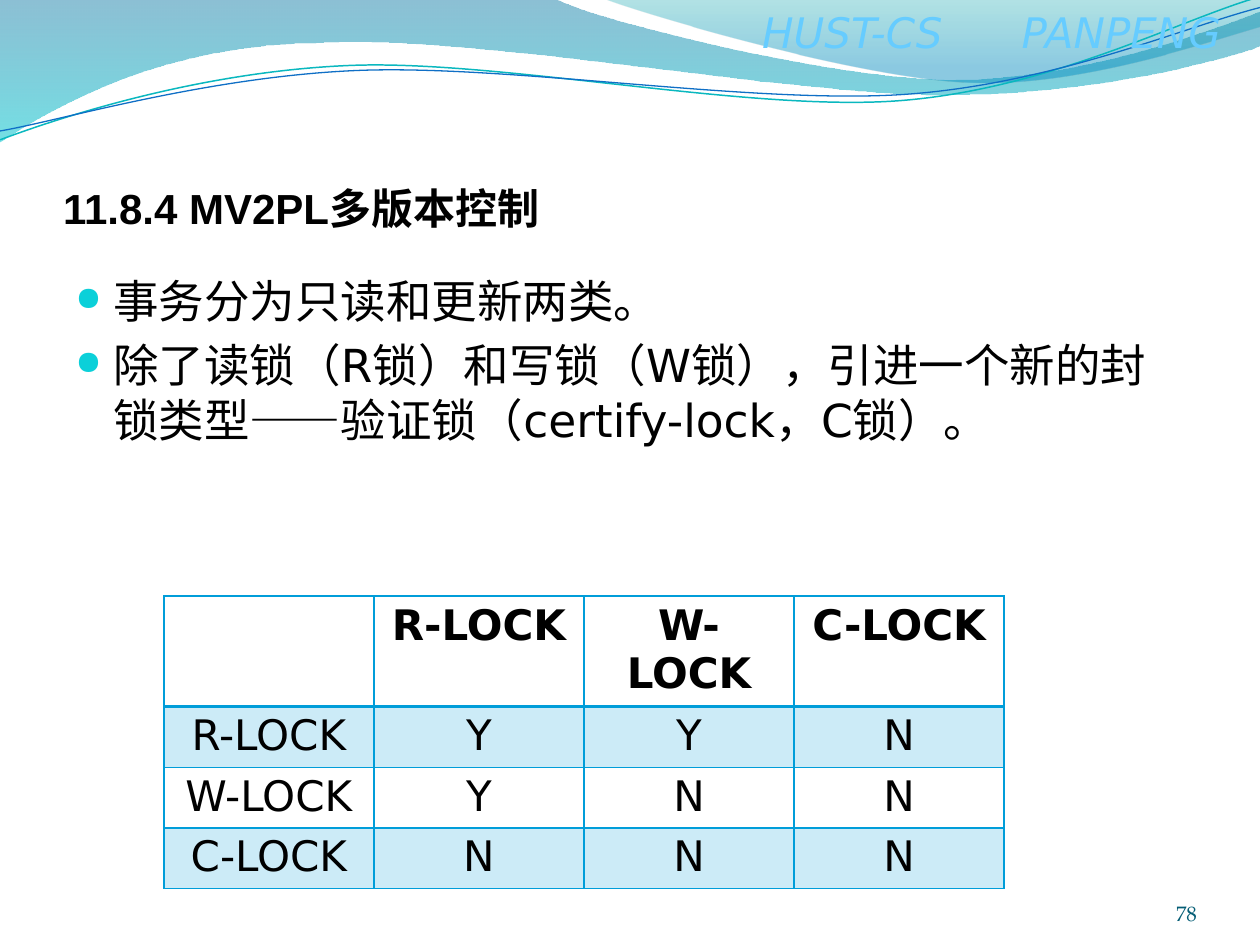
import math
from dataclasses import dataclass

import pptx
import pptx.dml.color
import pptx.enum.text
import pptx.oxml
import pptx.util
from pptx.util import Inches

NS = 'xmlns:a="http://schemas.openxmlformats.org/drawingml/2006/main"'
ALIGN = pptx.enum.text.PP_ALIGN
ANCHOR = pptx.enum.text.MSO_ANCHOR
SANS = "DejaVu Sans"
ACCENT = "009DD9"
WAVE_TILT = -2.7


@dataclass
class Stop:
    position: float
    color: str
    opacity: int


@dataclass
class Ribbon:
    start: tuple
    segments: list
    stops: list


@dataclass
class Wave:
    center: tuple
    start: tuple
    segments: list
    color: str
    width: float


RIBBONS = [
    Ribbon((0, -0.01), [
        (4.4, -0.01),
        (4.76, 0.17, 6.64, 0.63, 7.58, 0.63),
        (8.53, 0.63, 9.58, 0.26, 10, 0.09),
        (10.01, 0.36),
        (9.83, 0.44, 8.7, 0.76, 7.46, 0.75),
        (6.22, 0.75, 3.82, 0.28, 2.57, 0.34),
        (1.29, 0.35, 0.46, 0.83, -0.01, 1.13),
    ], [Stop(0, "0074A1", 45), Stop(1, "00C6CF", 55)]),
    Ribbon((4.79, -0.01), [
        (5.09, 0.11, 6.82, 0.62, 7.69, 0.65),
        (8.56, 0.69, 9.61, 0.32, 10, 0.21),
        (10, 0),
    ], [Stop(0, "00A1A9", 30), Stop(0.8, "008BBF", 45)]),
]
WAVES = [
    Wave((4.99, 0.58), (0, 1.11), [
        (0.48, 0.93, 1.58, 0.57, 2.77, 0.52),
        (3.95, 0.47, 5.93, 0.89, 7.13, 0.8),
        (8.33, 0.71, 9.38, 0.15, 9.98, -0.02),
    ], "0AB8BF", 0.85),
    Wave((5, 0.59), (0, 1.04), [
        (0.47, 0.96, 1.64, 0.61, 2.83, 0.56),
        (4.03, 0.51, 5.97, 0.83, 7.17, 0.75),
        (8.36, 0.67, 9.41, 0.21, 10, 0.06),
    ], "0F6FC6", 0.75),
]
BULLETS = [
    "事务分为只读和更新两类。",
    "除了读锁（R锁）和写锁（W锁），引进一个新的封锁类型——验证锁（certify-lock，C锁）。",
]
LOCKS = [
    ["", "R-LOCK", "W-LOCK", "C-LOCK"],
    ["R-LOCK", "Y", "Y", "N"],
    ["W-LOCK", "Y", "N", "N"],
    ["C-LOCK", "N", "N", "N"],
]


def rgb(value: str):
    return pptx.dml.color.RGBColor.from_string(value)


def xml(markup: str):
    return pptx.oxml.parse_xml(markup.replace(" ", f" {NS} ", 1))


def set_opacity(el, percent: int) -> None:
    el.append(xml(f'<a:alpha val="{percent * 1000}"/>'))


def format_runs(p, font: str, size: float, color: str, bold=False, italic=False) -> None:
    for r in p.runs:
        r.font.name = font
        r.font.size = pptx.util.Pt(size)
        r.font.color.rgb = rgb(color)
        r.font.bold = bold
        r.font.italic = italic


def to_points(seg: tuple) -> list:
    return [(Inches(x), Inches(y)) for x, y in zip(seg[::2], seg[1::2])]


def turn(seg: tuple, center: tuple, degrees: float) -> tuple:
    cx, cy = center
    cos, sin = math.cos(math.radians(degrees)), math.sin(math.radians(degrees))
    turned = []
    for x, y in zip(seg[::2], seg[1::2]):
        dx, dy = x - cx, y - cy
        turned += [cx + dx * cos - dy * sin, cy + dx * sin + dy * cos]
    return tuple(turned)


def add_outline(s, start: tuple, segments: list, close: bool):
    origin = to_points(start)[0]
    curves = [to_points(seg) for seg in segments]
    ends = [points[-1] for points in curves]
    builder = s.shapes.build_freeform(*origin, scale=1.0)
    builder.add_line_segments(ends, close=close)
    sp = builder.convert_to_shape()
    left = min(x for x, y in [origin, *ends])
    top = min(y for x, y in [origin, *ends])
    for line, points in zip(sp._element.xpath(".//a:path/a:lnTo"), curves):
        if len(points) == 3:
            pts = "".join(f'<a:pt x="{x - left}" y="{y - top}"/>' for x, y in points)
            line.getparent().replace(line, xml(f"<a:cubicBezTo >{pts}</a:cubicBezTo>"))
    sp.shadow.inherit = False
    return sp


def add_ribbon(s, ribbon: Ribbon) -> None:
    sp = add_outline(s, ribbon.start, ribbon.segments, True)
    sp.line.fill.background()
    sp.fill.gradient()
    sp.fill.gradient_angle = 270
    for gs, stop in zip(sp.fill.gradient_stops, ribbon.stops):
        gs.color.rgb = rgb(stop.color)
        gs.position = stop.position
    for el, stop in zip(sp._element.xpath(".//a:gs/a:srgbClr"), ribbon.stops):
        set_opacity(el, stop.opacity)


def add_wave(s, wave: Wave) -> None:
    start, *segments = [turn(seg, wave.center, -WAVE_TILT)
                        for seg in (wave.start, *wave.segments)]
    sp = add_outline(s, start, segments, False)
    sp.rotation = WAVE_TILT
    sp.fill.background()
    sp.line.color.rgb = rgb(wave.color)
    sp.line.width = pptx.util.Pt(wave.width)


def add_text(s, left: float, top: float, width: float, height: float):
    tf = s.shapes.add_textbox(*map(Inches, (left, top, width, height))).text_frame
    tf.word_wrap = True
    return tf


def set_margins(tf, top: float) -> None:
    tf.margin_left = tf.margin_right = tf.margin_bottom = 0
    tf.margin_top = Inches(top)


def add_header(s) -> None:
    p = add_text(s, 5.95, 0, 4.05, 0.5).paragraphs[0]
    p.text = "HUST-CS\tPANPENG"
    p._p.get_or_add_pPr().append(
        xml(f'<a:tabLst ><a:tab pos="{Inches(2.06)}" algn="l"/></a:tabLst>'))
    format_runs(p, SANS, 24, "66CCFF", italic=True)


def add_title(s) -> None:
    sp = s.shapes.title
    sp.left, sp.top, sp.width, sp.height = map(Inches, (0.5, 0.77, 9, 1.08))
    tf = sp.text_frame
    tf.text = "11.8.4 MV2PL多版本控制"
    tf.vertical_anchor = ANCHOR.BOTTOM
    set_margins(tf, 0.05)
    tf.paragraphs[0].alignment = ALIGN.LEFT
    format_runs(tf.paragraphs[0], "Arial", 24, "000000", bold=True)


def add_bullets(s) -> None:
    tf = add_text(s, 0.5, 2.12, 9, 1.08)
    for i, text in enumerate(BULLETS):
        p = tf.add_paragraph() if i else tf.paragraphs[0]
        p.text = text
        pPr = p._p.get_or_add_pPr()
        pPr.set("marL", str(Inches(0.3)))
        pPr.set("indent", str(Inches(-0.3)))
        for markup in ('<a:buClr ><a:srgbClr val="0BD0D9"/></a:buClr>',
                       '<a:buSzPct val="73000"/>', '<a:buChar char="●"/>'):
            pPr.append(xml(markup))
        if i:
            p.space_before = pptx.util.Pt(5.2)
        format_runs(p, SANS, 26, "000000")


def set_borders(cell, row: int) -> None:
    tcPr = cell._tc.get_or_add_tcPr()
    for i, side in enumerate(("lnL", "lnR", "lnT", "lnB")):
        width = pptx.util.Pt(2 if (row, side) in ((0, "lnB"), (1, "lnT")) else 1)
        tcPr.insert(i, xml(f'<a:{side} w="{width}"><a:solidFill>'
                           f'<a:srgbClr val="{ACCENT}"/></a:solidFill></a:{side}>'))


def add_lock_table(s) -> None:
    table = s.shapes.add_table(4, 4, *map(Inches, (1.3, 4.73, 6.67, 1.62))).table
    table.first_row = table.horz_banding = False
    for i, row in enumerate(LOCKS):
        for j, text in enumerate(row):
            cell = table.cell(i, j)
            cell.margin_top = cell.margin_bottom = Inches(0.04)
            p = cell.text_frame.paragraphs[0]
            p.text = text
            p.alignment = ALIGN.CENTER
            format_runs(p, SANS, 24, "000000", bold=i == 0)
            if i % 2:
                cell.fill.solid()
                cell.fill.fore_color.rgb = rgb(ACCENT)
                set_opacity(cell._tc.xpath("./a:tcPr/a:solidFill/a:srgbClr")[0], 20)
            else:
                cell.fill.background()
            set_borders(cell, i)


def add_page_number(s) -> None:
    tf = add_text(s, 8.67, 6.95, 0.83, 0.4)
    tf.text = "78"
    tf.vertical_anchor = ANCHOR.BOTTOM
    set_margins(tf, 0)
    tf.paragraphs[0].alignment = ALIGN.RIGHT
    format_runs(tf.paragraphs[0], "TeX Gyre Pagella", 12, "045D75")


def main() -> None:
    prs = pptx.Presentation()
    prs.slide_width, prs.slide_height = Inches(10), Inches(7.5)
    s = prs.slides.add_slide(prs.slide_layouts[5])
    for ribbon in RIBBONS:
        add_ribbon(s, ribbon)
    for wave in WAVES:
        add_wave(s, wave)
    for draw in (add_header, add_title, add_bullets, add_lock_table, add_page_number):
        draw(s)
    prs.save("out.pptx")


if __name__ == "__main__":
    main()
